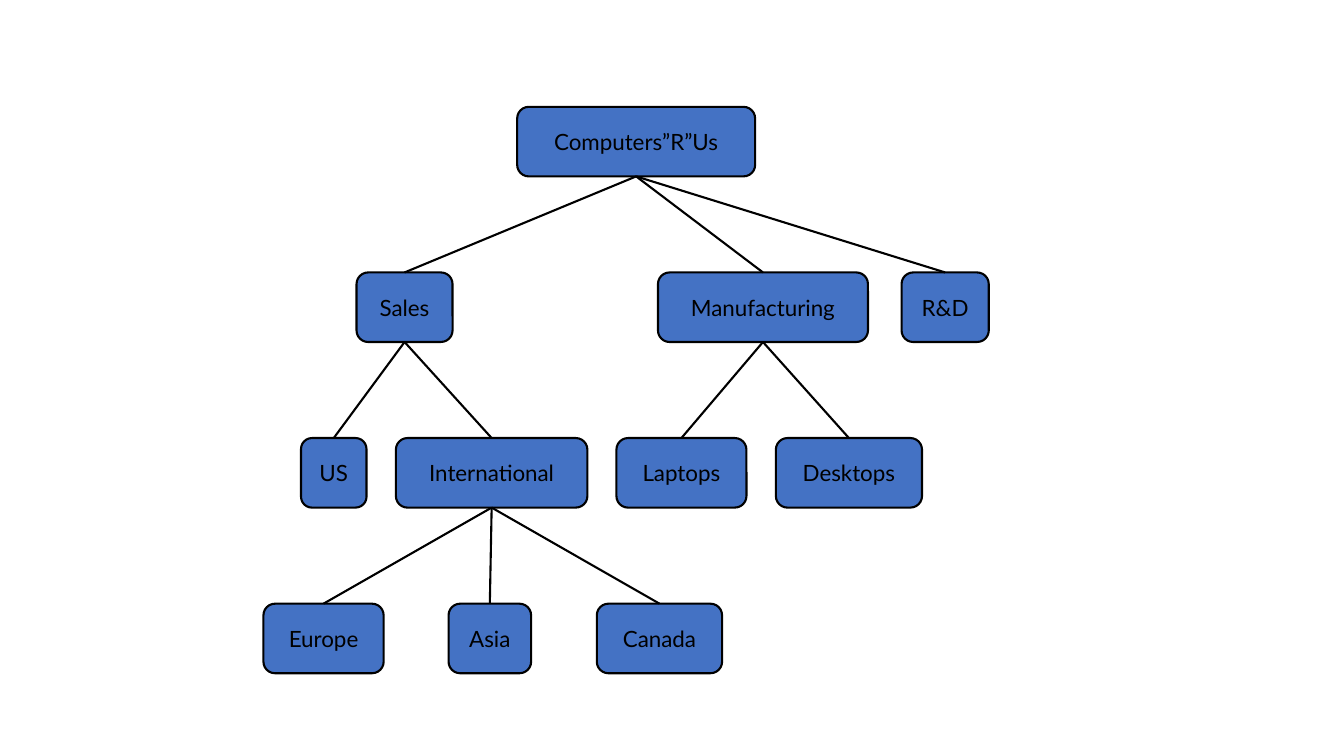
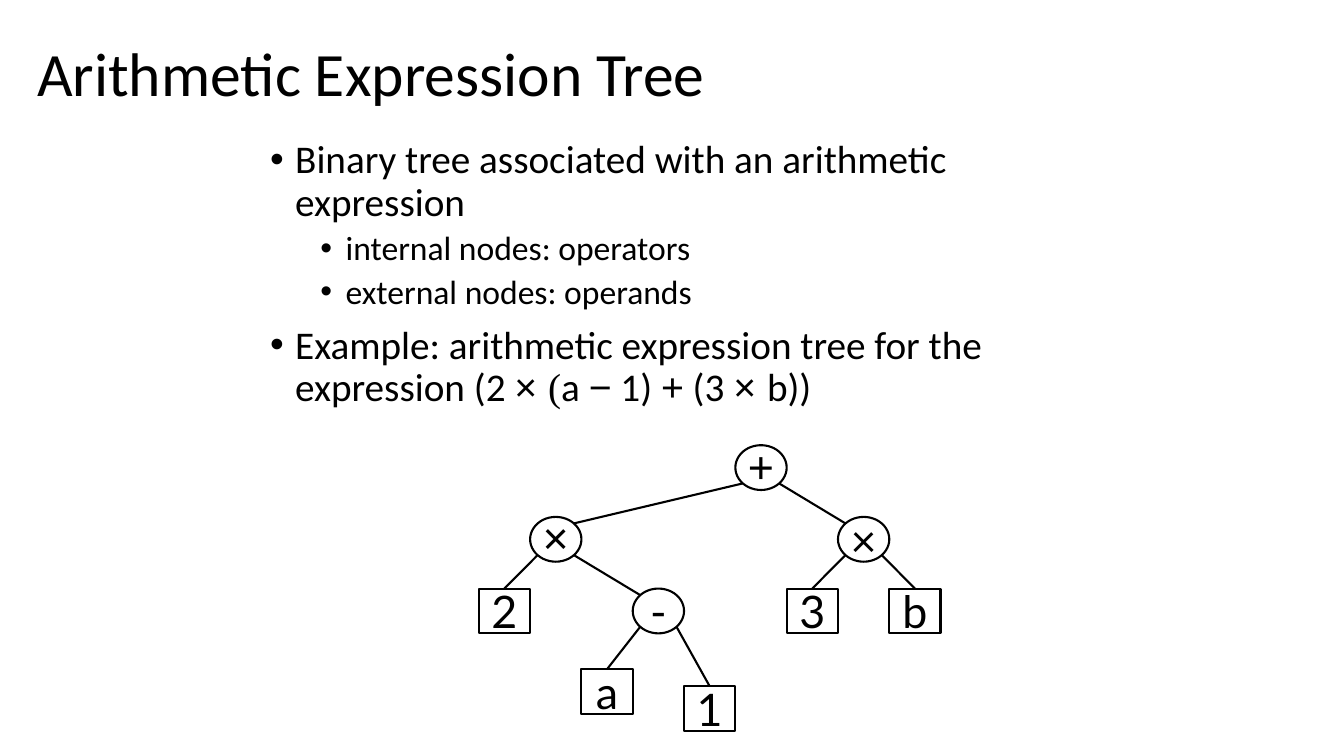
from dataclasses import dataclass
from math import sqrt

from lxml.etree import SubElement
from pptx import Presentation
from pptx.dml.color import RGBColor
from pptx.enum.shapes import MSO_CONNECTOR, MSO_SHAPE
from pptx.enum.text import MSO_ANCHOR, PP_ALIGN
from pptx.oxml.ns import qn
from pptx.util import Pt

BLACK = "000000"
BLUE = "4472C4"
TITLE_FONT = "Calibri"
NODE_FONT = "Lato"
SYMBOL_FONT = "Arial"
LINE_WIDTH = 1.5

UNIT_TOP, UNIT_PITCH, UNIT_HEIGHT = 76.3, 118.3, 49.7
TREE_LEFT, CELL_WIDTH, CELL_HEIGHT = 342, 36.65, 32


@dataclass(frozen=True)
class Unit:
    """A department of the company; its level sets the row."""

    name: str
    parent: str
    level: int
    left: float
    width: float


@dataclass(frozen=True)
class Term:
    """An operator or operand; its column is its place in the expression."""

    text: str
    column: int
    top: float
    parent: int | None = None
    operator: bool = False
    font: str = NODE_FONT


@dataclass(frozen=True)
class Bullet:
    """A bulleted paragraph made of text and font pairs."""

    segments: tuple
    level: int = 0
    space_before: float = 0


COMPANY = "Computers”R”Us"
UNITS = (
    Unit(COMPANY, "", 0, 369.4, 170),
    Unit("Sales", COMPANY, 1, 254.7, 68.6),
    Unit("Manufacturing", COMPANY, 1, 470, 150),
    Unit("R&D", COMPANY, 1, 644, 62.3),
    Unit("US", "Sales", 2, 215, 46.8),
    Unit("International", "Sales", 2, 282.8, 136.8),
    Unit("Laptops", "Manufacturing", 2, 440.3, 92.9),
    Unit("Desktops", "Manufacturing", 2, 554.2, 104.4),
    Unit("Europe", "International", 3, 188.2, 85.9),
    Unit("Asia", "International", 3, 320.4, 59),
    Unit("Canada", "International", 3, 426.3, 89.5),
)

TERMS = (
    Term("+", 5, 318, None, True, SYMBOL_FONT),
    Term("×", 1, 369.2, 5, True, SYMBOL_FONT),
    Term("×", 7, 369.2, 5, True),
    Term("-", 3, 420.4, 1, True),
    Term("2", 0, 420.4, 1),
    Term("3", 6, 420.4, 7),
    Term("b", 8, 420.4, 7),
    Term("a", 2, 478, 3),
    Term("1", 4, 490.2, 3),
)

BULLETS = (
    Bullet((("Binary tree associated with an arithmetic expression", TITLE_FONT),)),
    Bullet((("internal nodes: operators", TITLE_FONT),), 1, 5),
    Bullet((("external nodes: operands", TITLE_FONT),), 1, 5),
    Bullet(
        (
            ("Example: arithmetic expression tree for the expression (2 ", TITLE_FONT),
            ("× ", SYMBOL_FONT),
            ("(", "Times New Roman"),
            ("a ", TITLE_FONT),
            ("−", SYMBOL_FONT),
            (" 1) ", TITLE_FONT),
            ("+", SYMBOL_FONT),
            (" (3 ", TITLE_FONT),
            ("× ", SYMBOL_FONT),
            ("b))", TITLE_FONT),
        ),
        0,
        10,
    ),
)


def color(value: str) -> RGBColor:
    """Turn a hex string into a colour."""
    return RGBColor.from_string(value)


def format_font(font, name: str, size: float) -> None:
    """Set face, size and the common text colour."""
    font.name = name
    font.size = Pt(size)
    font.color.rgb = color(BLACK)


def add_node(slide, preset, box: tuple, text: str, font: str, size: float, fill: str = ""):
    """Draw an outlined node with a centred label."""
    shape = slide.shapes.add_shape(preset, *(Pt(length) for length in box))
    shape.shadow.inherit = False
    if fill:
        shape.fill.solid()
        shape.fill.fore_color.rgb = color(fill)
    else:
        shape.fill.background()
    shape.line.color.rgb = color(BLACK)
    shape.line.width = Pt(LINE_WIDTH)
    frame = shape.text_frame
    frame.text = text
    frame.word_wrap = False
    frame.vertical_anchor = MSO_ANCHOR.MIDDLE
    paragraph = frame.paragraphs[0]
    paragraph.alignment = PP_ALIGN.CENTER
    format_font(paragraph.runs[0].font, font, size)
    return shape


def add_edge(slide, begin: tuple = (0, 0), end: tuple = (0, 0)):
    """Draw a plain straight connector between two points."""
    connector = slide.shapes.add_connector(
        MSO_CONNECTOR.STRAIGHT, *(Pt(length) for length in (*begin, *end))
    )
    connector.line.color.rgb = color(BLACK)
    connector.line.width = Pt(LINE_WIDTH)
    SubElement(connector._element.spPr, qn("a:effectLst"))
    return connector


def oval_corner(term: Term, horizontal: int, vertical: int) -> tuple:
    """Find the diagonal point of an operator's oval."""
    reach = 1 / sqrt(2)
    center = TREE_LEFT + (term.column + 0.5) * CELL_WIDTH
    middle = term.top + CELL_HEIGHT / 2
    return (
        center + horizontal * reach * CELL_WIDTH / 2,
        middle + vertical * reach * CELL_HEIGHT / 2,
    )


def add_title(slide, text: str) -> None:
    """Place and format the slide title."""
    title = slide.shapes.title
    title.left, title.top, title.width, title.height = Pt(19.4), Pt(2.2), Pt(828), Pt(104.4)
    title.text_frame.text = text
    title.text_frame.vertical_anchor = MSO_ANCHOR.MIDDLE
    paragraph = title.text_frame.paragraphs[0]
    paragraph.alignment = PP_ALIGN.LEFT
    paragraph.line_spacing = 0.9
    format_font(paragraph.runs[0].font, TITLE_FONT, 44)


def add_bullets(slide, bullets: tuple) -> None:
    """Write the bulleted text."""
    frame = slide.shapes.add_textbox(Pt(185.8), Pt(96.5), Pt(612), Pt(128.9)).text_frame
    frame.word_wrap = True
    for index, bullet in enumerate(bullets):
        paragraph = frame.add_paragraph() if index else frame.paragraphs[0]
        paragraph.level = bullet.level
        paragraph.line_spacing = 0.9
        paragraph.space_before = Pt(bullet.space_before)
        properties = paragraph._p.get_or_add_pPr()
        properties.set("marL", str(Pt(18 + 36 * bullet.level)))
        properties.set("indent", str(Pt(-18)))
        SubElement(properties, qn("a:buFont")).set("typeface", "Arial")
        SubElement(properties, qn("a:buChar")).set("char", "•")
        for text, font in bullet.segments:
            run = paragraph.add_run()
            run.text = text
            format_font(run.font, font, 28 - 4 * bullet.level)


def build_company_slide(presentation) -> None:
    """Draw the company's organisation tree."""
    slide = presentation.slides.add_slide(presentation.slide_layouts[6])
    shapes = {}
    for unit in UNITS:
        box = (unit.left, UNIT_TOP + unit.level * UNIT_PITCH, unit.width, UNIT_HEIGHT)
        shapes[unit.name] = add_node(
            slide, MSO_SHAPE.ROUNDED_RECTANGLE, box, unit.name, NODE_FONT, 16, BLUE
        )
        if unit.parent:
            edge = add_edge(slide)
            edge.begin_connect(shapes[unit.parent], 2)
            edge.end_connect(shapes[unit.name], 0)


def build_expression_slide(presentation) -> None:
    """Draw the title, the bullets and the expression tree."""
    slide = presentation.slides.add_slide(presentation.slide_layouts[5])
    add_title(slide, "Arithmetic Expression Tree")
    add_bullets(slide, BULLETS)
    terms = {term.column: term for term in TERMS}
    for term in TERMS:
        preset = MSO_SHAPE.OVAL if term.operator else MSO_SHAPE.RECTANGLE
        box = (TREE_LEFT + term.column * CELL_WIDTH, term.top, CELL_WIDTH, CELL_HEIGHT)
        shape = add_node(slide, preset, box, term.text, term.font, 32)
        if term.font == SYMBOL_FONT:
            frame = shape.text_frame
            frame.margin_left = frame.margin_top = frame.margin_right = Pt(0)
        if term.parent is None:
            continue
        side = 1 if term.column > term.parent else -1
        begin = oval_corner(terms[term.parent], side, 1)
        edge = add_edge(slide, begin, oval_corner(term, -side, -1))
        if not term.operator:
            edge.end_connect(shape, 0)


def main() -> None:
    """Build and save the presentation."""
    presentation = Presentation()
    presentation.slide_width, presentation.slide_height = Pt(960), Pt(540)
    build_company_slide(presentation)
    build_expression_slide(presentation)
    presentation.save("out.pptx")


if __name__ == "__main__":
    main()
